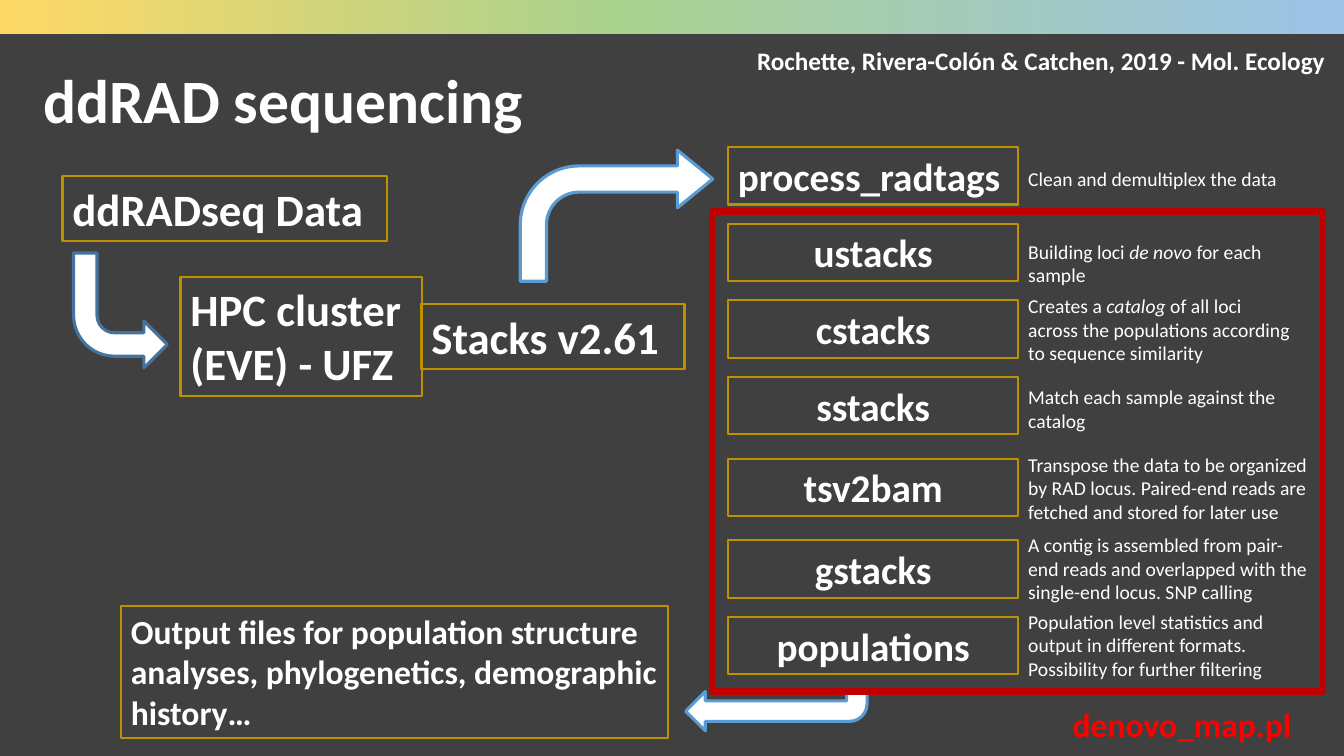
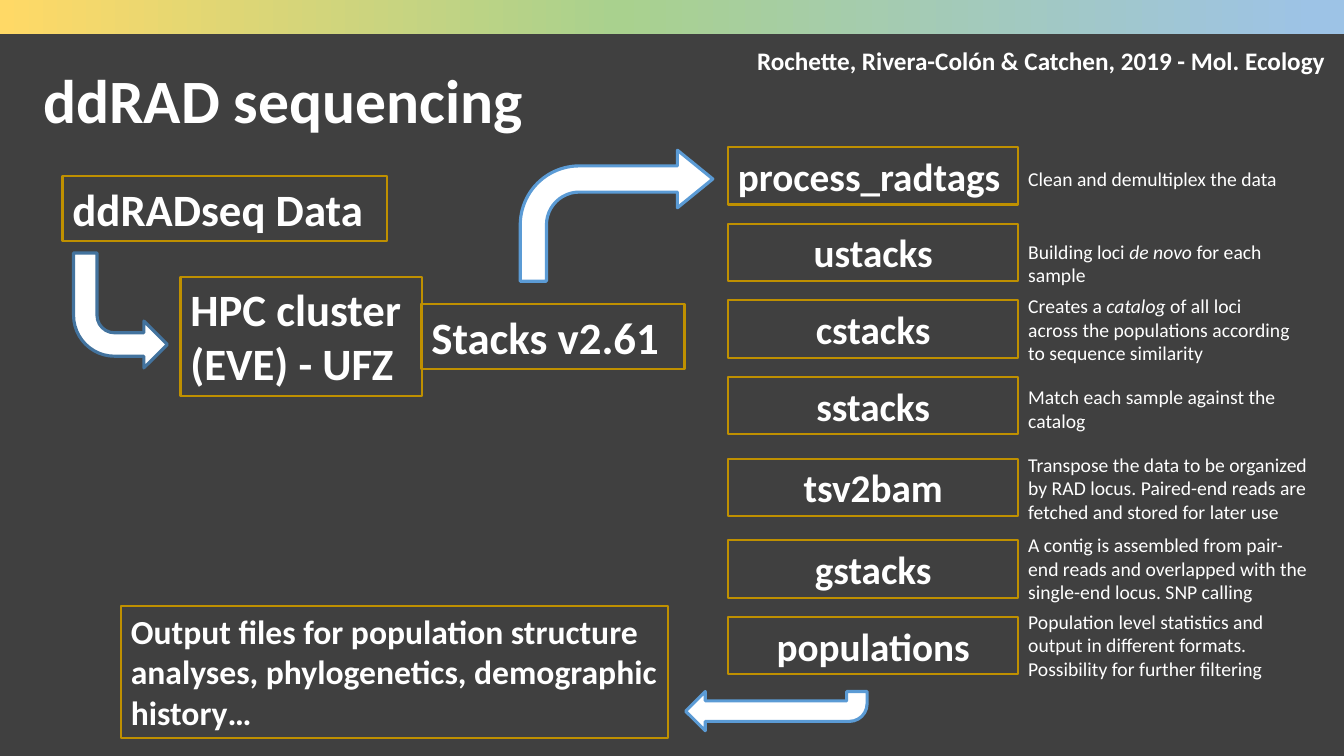
from copy import deepcopy
from dataclasses import dataclass

from pptx import Presentation
from pptx.dml.color import RGBColor
from pptx.enum import shapes, text
from pptx.oxml import ns
from pptx.shapes import autoshape
from pptx.slide import Slide
from pptx.util import Inches, Pt


@dataclass(frozen=True)
class Theme:
    font: str = "Calibri"
    background: str = "404040"
    white: str = "FFFFFF"
    gold: str = "BF9000"
    blue: str = "5B9BD5"
    dark_blue: str = "43739E"
    frame_red: str = "C00000"
    label_red: str = "FF0000"
    band: tuple[tuple[float, str], ...] = (
        (0, "FFD966"), (0.46, "A9D18E"), (0.98, "9DC3E6"))
    title_size: float = 44
    stage_size: float = 32
    step_size: float = 28
    output_size: float = 24
    citation_size: float = 18
    note_size: float = 14
    box_line: float = 1.5
    arrow_line: float = 2.25
    frame_line: float = 4.5


THEME = Theme()


@dataclass(frozen=True)
class Box:
    left: float
    top: float
    width: float
    height: float

    def lengths(self) -> tuple[Inches, Inches, Inches, Inches]:
        return (Inches(self.left), Inches(self.top),
                Inches(self.width), Inches(self.height))


@dataclass(frozen=True)
class Stage:
    label: str
    box: Box
    size: float = THEME.stage_size


@dataclass(frozen=True)
class Step:
    """A program of the pipeline; asterisks in the note enclose italics."""
    name: str
    top: float
    note: str
    note_top: float
    note_height: float = 0.81
    note_width: float = 2.8
    centred: bool = True


@dataclass(frozen=True)
class Arrow:
    box: Box
    line: str = THEME.blue
    adjustments: tuple[float, ...] = ()
    rotation: float = 0
    mirrored: bool = False


SLIDE_WIDTH, SLIDE_HEIGHT = 13.33, 7.5
STEP_LEFT, STEP_WIDTH, STEP_HEIGHT = 7.22, 2.88, 0.57
NOTE_LEFT = STEP_LEFT + STEP_WIDTH

STAGES = (
    Stage("ddRADseq Data", Box(0.62, 1.75, 3.22, 0.64)),
    Stage("HPC cluster (EVE) - UFZ", Box(1.79, 2.75, 2.4, 1.18)),
    Stage("Stacks v2.61", Box(4.18, 3.02, 2.61, 0.64)),
    Stage("Output files for population structure analyses, phylogenetics, "
          "demographic history…", Box(1.2, 6.01, 5.43, 1.31), THEME.output_size),
)

STEPS = (
    Step("process_radtags", 1.46, "Clean and demultiplex the data", 1.61, 0.34,
         centred=False),
    Step("ustacks", 2.22, "Building loci *de novo *for each sample", 2.33, 0.57),
    Step("cstacks", 2.98, "Creates a *catalog* of all loci across the populations "
         "according to sequence similarity", 2.87),
    Step("sstacks", 3.74, "Match each sample against the catalog", 3.77, 0.57),
    Step("tsv2bam", 4.55, "Transpose the data to be organized by RAD locus. "
         "Paired-end reads are fetched and stored for later use", 4.44,
         note_width=3),
    Step("gstacks", 5.36, "A contig is assembled from pair-end reads and "
         "overlapped with the single-end locus. SNP calling", 5.24, note_width=3),
    Step("populations", 6.12, "Population level statistics and output in different "
         "formats. Possibility for further filtering", 6),
)

ARROWS = (
    Arrow(Box(0.73, 2.51, 0.93, 1.14), THEME.dark_blue, rotation=180, mirrored=True),
    Arrow(Box(5.16, 1.49, 1.91, 1.3), adjustments=(0.2, 0.22, 0.27, 0.45)),
    Arrow(Box(6.8, 6.86, 1.8, 0.39), adjustments=(0.52, 0.5, 0.5, 0.45),
          rotation=180),
)


def rgb(colour: str) -> RGBColor:
    return RGBColor.from_string(colour)


def set_line(shape: autoshape.Shape, colour: str, width: float) -> None:
    shape.line.color.rgb = rgb(colour)
    shape.line.width = Pt(width)


def add_text(slide: Slide, content: str, box: Box, size: float, bold: bool = True,
             colour: str = THEME.white, centred: bool = False) -> autoshape.Shape:
    """Add a text box in which every second part between asterisks is italic."""
    shape = slide.shapes.add_textbox(*box.lengths())
    frame = shape.text_frame
    frame.word_wrap = True
    paragraph = frame.paragraphs[0]
    paragraph.alignment = text.PP_ALIGN.CENTER if centred else text.PP_ALIGN.LEFT
    for index, part in enumerate(content.split("*")):
        run = paragraph.add_run()
        run.text = part
        run.font.name = THEME.font
        run.font.size = Pt(size)
        run.font.bold = bold
        run.font.italic = index % 2 == 1
        run.font.color.rgb = rgb(colour)
    return shape


def add_outlined_text(slide: Slide, content: str, box: Box, size: float,
                      centred: bool = False) -> None:
    shape = add_text(slide, content, box, size, centred=centred)
    set_line(shape, THEME.gold, THEME.box_line)


def add_band(slide: Slide) -> None:
    band = slide.shapes.add_shape(shapes.MSO_SHAPE.RECTANGLE,
                                  *Box(0, 0, SLIDE_WIDTH, 0.34).lengths())
    band.shadow.inherit = False
    band.line.fill.background()
    band.fill.gradient()
    band.fill.gradient_angle = 0
    stop_list = next(band.element.iter(ns.qn("a:gsLst")))
    stop_list.append(deepcopy(stop_list[0]))
    for stop, (position, colour) in zip(band.fill.gradient_stops, THEME.band):
        stop.position = position
        stop.color.rgb = rgb(colour)


def add_arrow(slide: Slide, arrow: Arrow) -> None:
    shape = slide.shapes.add_shape(shapes.MSO_SHAPE.BENT_ARROW, *arrow.box.lengths())
    shape.shadow.inherit = False
    shape.fill.solid()
    shape.fill.fore_color.rgb = rgb(THEME.white)
    set_line(shape, arrow.line, THEME.arrow_line)
    for index, value in enumerate(arrow.adjustments):
        shape.adjustments[index] = value
    shape.rotation = arrow.rotation
    if arrow.mirrored:
        shape.element.spPr.find(ns.qn("a:xfrm")).set("flipH", "1")


def add_step(slide: Slide, step: Step) -> None:
    add_outlined_text(slide, step.name,
                      Box(STEP_LEFT, step.top, STEP_WIDTH, STEP_HEIGHT),
                      THEME.step_size, step.centred)
    add_text(slide, step.note,
             Box(NOTE_LEFT, step.note_top, step.note_width, step.note_height),
             THEME.note_size, bold=False)


def add_header(slide: Slide) -> None:
    title = add_text(slide, "ddRAD sequencing", Box(0.33, 0.3, 11.5, 1.45),
                     THEME.title_size)
    title.text_frame.vertical_anchor = text.MSO_ANCHOR.MIDDLE
    title.text_frame.paragraphs[0].line_spacing = 0.9
    add_text(slide, "Rochette, Rivera-Colón & Catchen, 2019 - Mol. Ecology",
             Box(7.41, 0.4, 5.92, 0.4), THEME.citation_size)
    add_band(slide)


def add_workflow_slide(presentation: Presentation) -> Slide:
    slide = presentation.slides.add_slide(presentation.slide_layouts[6])
    slide.background.fill.solid()
    slide.background.fill.fore_color.rgb = rgb(THEME.background)
    add_header(slide)
    for stage in STAGES:
        add_outlined_text(slide, stage.label, stage.box, stage.size)
    for arrow in ARROWS:
        add_arrow(slide, arrow)
    for step in STEPS:
        add_step(slide, step)
    return slide


def add_wrapper_frame(slide: Slide) -> None:
    """Frame the steps that denovo_map.pl runs in one go."""
    frame = slide.shapes.add_shape(shapes.MSO_SHAPE.RECTANGLE,
                                   *Box(7.06, 2.1, 6.06, 4.76).lengths())
    frame.shadow.inherit = False
    frame.fill.background()
    set_line(frame, THEME.frame_red, THEME.frame_line)
    add_text(slide, "denovo_map.pl", Box(10.54, 6.93, 2.79, 0.5),
             THEME.output_size, colour=THEME.label_red)


def main() -> None:
    presentation = Presentation()
    presentation.slide_width = Inches(SLIDE_WIDTH)
    presentation.slide_height = Inches(SLIDE_HEIGHT)
    add_wrapper_frame(add_workflow_slide(presentation))
    add_workflow_slide(presentation)
    presentation.save("out.pptx")


if __name__ == "__main__":
    main()
